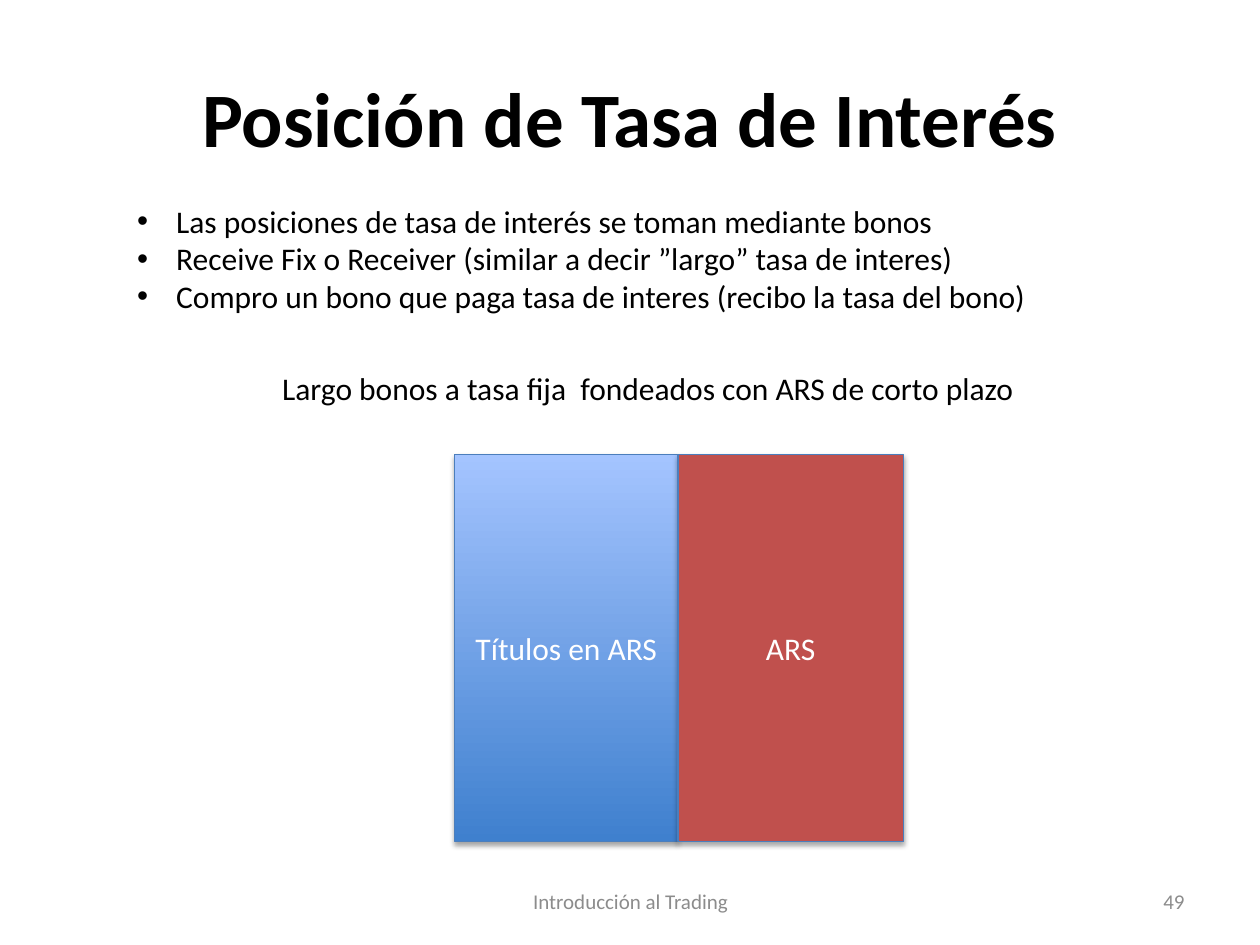
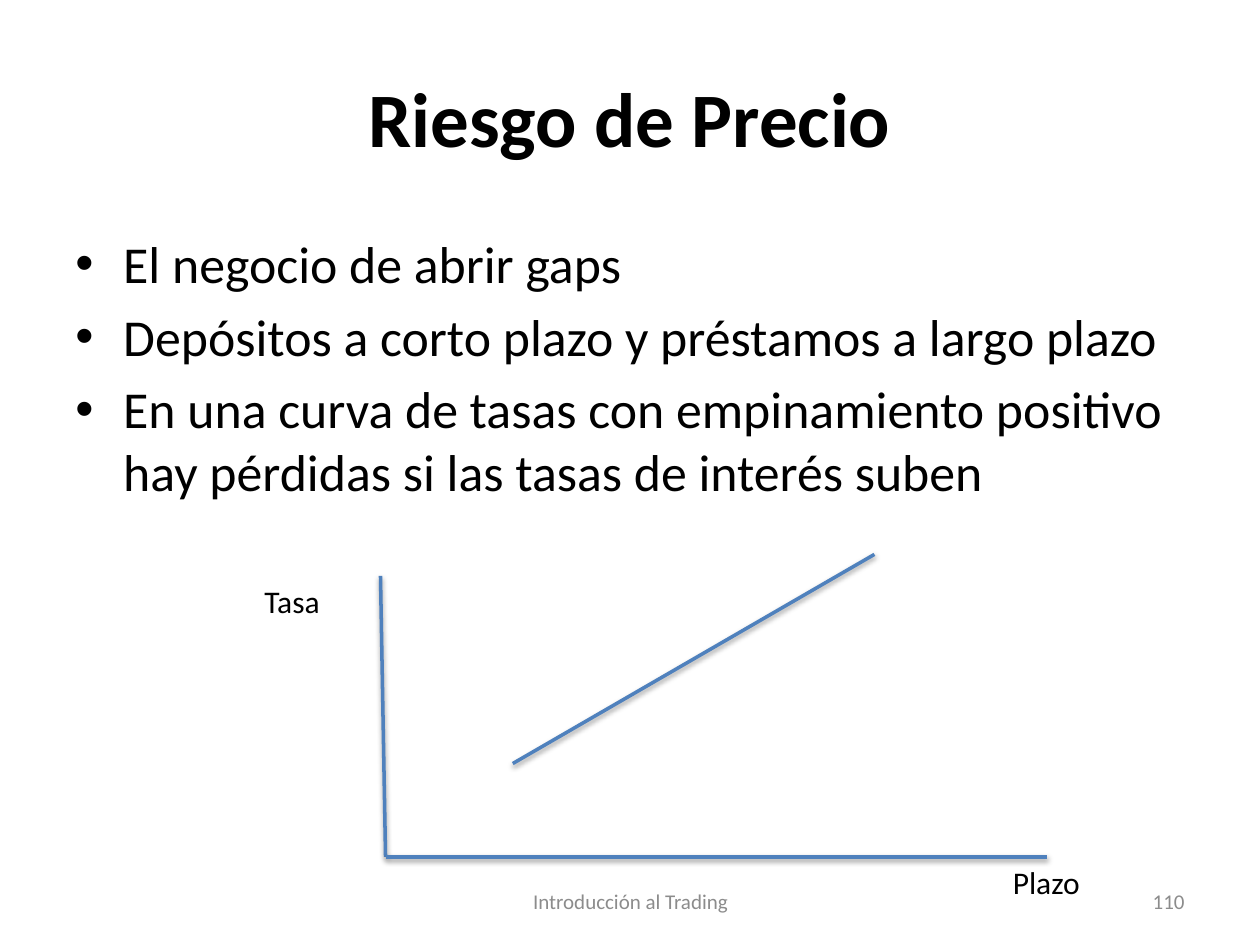
from lxml import etree
from pptx import Presentation
from pptx import util as u
from pptx.dml.color import RGBColor
from pptx.enum import shapes, text
from pptx.oxml.ns import qn

FONT = "Calibri"
BLACK, WHITE, GRAY = "000000", "FFFFFF", "8C8C8C"
RED, BORDER, AXIS = "C0504D", "4B7EBC", "4F81BD"
BLUE_GRADIENT = ("3F80CE", "A4C4FF")
LEFT, CENTER, RIGHT = text.PP_ALIGN.LEFT, text.PP_ALIGN.CENTER, text.PP_ALIGN.RIGHT
TOP, MIDDLE = text.MSO_ANCHOR.TOP, text.MSO_ANCHOR.MIDDLE


def rgb(color):
    """Turn a hex string into a colour."""
    return RGBColor.from_string(color)


def add_bullet(p, indent):
    """Give a paragraph a round bullet with a hanging indent."""
    pPr = p._p.get_or_add_pPr()
    pPr.set("marL", str(u.Inches(indent)))
    pPr.set("indent", str(-u.Inches(indent)))
    etree.SubElement(pPr, qn("a:buFont")).set("typeface", "Arial")
    etree.SubElement(pPr, qn("a:buChar")).set("char", "•")


def add_shadow(s, opacity, distance):
    """Put a soft shadow under a shape or connector."""
    effects = etree.SubElement(s._element.spPr, qn("a:effectLst"))
    shadow = etree.SubElement(
        effects, qn("a:outerShdw"), blurRad=str(u.Pt(3.1)),
        dist=str(u.Pt(distance)), dir="5400000", rotWithShape="0")
    color = etree.SubElement(shadow, qn("a:srgbClr"), val=BLACK)
    etree.SubElement(color, qn("a:alpha"), val=str(opacity * 1000))


def write(sp, lines, size, color=BLACK, bold=False, align=LEFT, anchor=TOP,
          wrap=True, indent=0, gap=0):
    """Fill a shape with formatted paragraphs."""
    tf = sp.text_frame
    tf.word_wrap = wrap
    tf.vertical_anchor = anchor
    tf.text = "\n".join(lines)
    for i, p in enumerate(tf.paragraphs):
        if indent:
            add_bullet(p, indent)
        if gap and i:
            p.space_before = u.Pt(gap)
        p.alignment = align
        for r in p.runs:
            r.font.name, r.font.size, r.font.bold = FONT, u.Pt(size), bold
            r.font.color.rgb = rgb(color)


def add_text(s, box, lines, size=18, **style):
    """Add a text box."""
    sp = s.shapes.add_textbox(*map(u.Inches, box))
    write(sp, lines, size, **style)


def add_block(s, box, label, fill):
    """Add a labelled balance block with a solid or gradient fill."""
    sp = s.shapes.add_shape(shapes.MSO_SHAPE.RECTANGLE, *map(u.Inches, box))
    if isinstance(fill, str):
        sp.fill.solid()
        sp.fill.fore_color.rgb = rgb(fill)
    else:
        sp.fill.gradient()
        sp.fill.gradient_angle = 90
        for stop, color in zip(sp.fill.gradient_stops, fill):
            stop.color.rgb = rgb(color)
    sp.line.color.rgb = rgb(BORDER)
    sp.line.width = u.Pt(0.75)
    add_shadow(sp, 35, 1.8)
    write(sp, [label], 18, color=WHITE, align=CENTER, anchor=MIDDLE)


def add_line(s, start, end):
    """Add a straight line of the rate diagram."""
    line = s.shapes.add_connector(
        shapes.MSO_CONNECTOR.STRAIGHT, *map(u.Inches, start + end))
    line.line.color.rgb = rgb(AXIS)
    line.line.width = u.Pt(2)
    add_shadow(line, 38, 1.6)


def add_slide(prs, title, number):
    """Add a blank slide with the shared title, footer and number."""
    s = prs.slides.add_slide(prs.slide_layouts[6])
    add_text(s, (0.5, 0.3, 9, 1.25), [title], 44, bold=True, align=CENTER, anchor=MIDDLE)
    add_text(s, (3.42, 6.95, 3.17, 0.4), ["Introducción al Trading"], 12,
             color=GRAY, align=CENTER, anchor=MIDDLE)
    add_text(s, (7.17, 6.95, 2.33, 0.4), [str(number)], 12,
             color=GRAY, align=RIGHT, anchor=MIDDLE)
    return s


def rate_position(prs):
    """Build the slide on interest rate positions."""
    s = add_slide(prs, "Posición de Tasa de Interés", 49)
    top, height = 3.61, 3.07
    add_block(s, (3.61, top, 1.77, height), "Títulos en ARS", BLUE_GRADIENT)
    add_block(s, (5.38, top, 1.79, height), "ARS", RED)
    add_text(s, (2.14, 2.88, 6.02, 0.4),
             ["Largo bonos a tasa fija  fondeados con ARS de corto plazo"], wrap=False)
    add_text(s, (0.99, 1.55, 7.35, 1.01), [
        "Las posiciones de tasa de interés se toman mediante bonos",
        "Receive Fix o Receiver (similar a decir ”largo” tasa de interes)",
        "Compro un bono que paga tasa de interes (recibo la tasa del bono)",
    ], wrap=False, indent=0.31)


def price_risk(prs):
    """Build the slide on price risk with its rate curve."""
    s = add_slide(prs, "Riesgo de Precio", 110)
    add_text(s, (0.5, 1.79, 9, 2.54), [
        "El negocio de abrir gaps",
        "Depósitos a corto plazo y préstamos a largo plazo",
        "En una curva de tasas con empinamiento positivo hay pérdidas "
        "si las tasas de interés suben",
    ], 29.6, indent=0.38, gap=6)
    origin = (3.06, 6.8)
    add_line(s, (3.02, 4.57), origin)
    add_line(s, origin, (8.31, 6.8))
    add_line(s, (4.07, 6.06), (6.94, 4.4))
    add_text(s, (2, 4.57, 0.67, 0.4), ["Tasa"], wrap=False)
    add_text(s, (7.94, 6.8, 0.74, 0.4), ["Plazo"], wrap=False)


def main():
    """Build and save the presentation."""
    prs = Presentation()
    prs.slide_width, prs.slide_height = u.Inches(10), u.Inches(7.5)
    rate_position(prs)
    price_risk(prs)
    prs.save("out.pptx")


if __name__ == "__main__":
    main()
